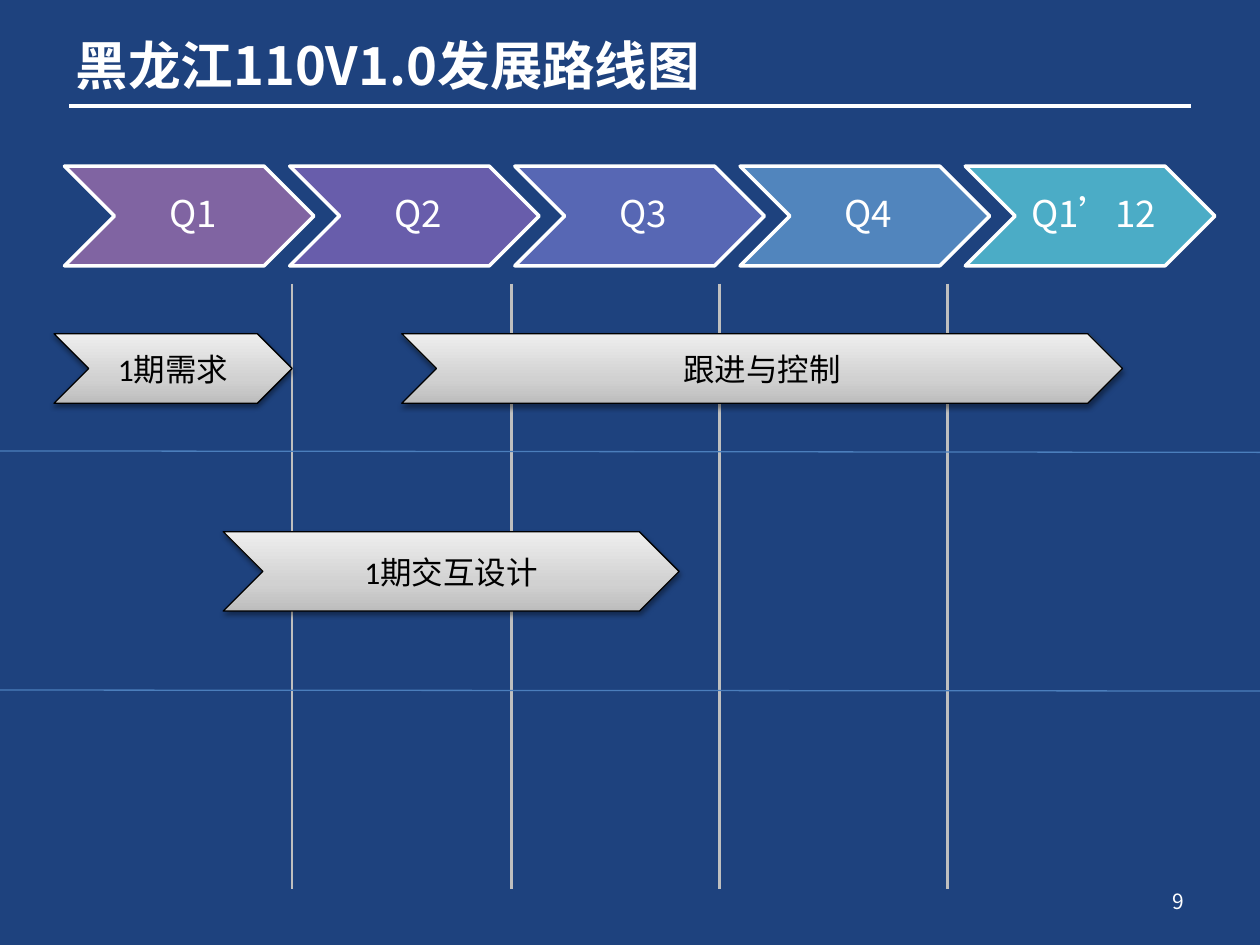
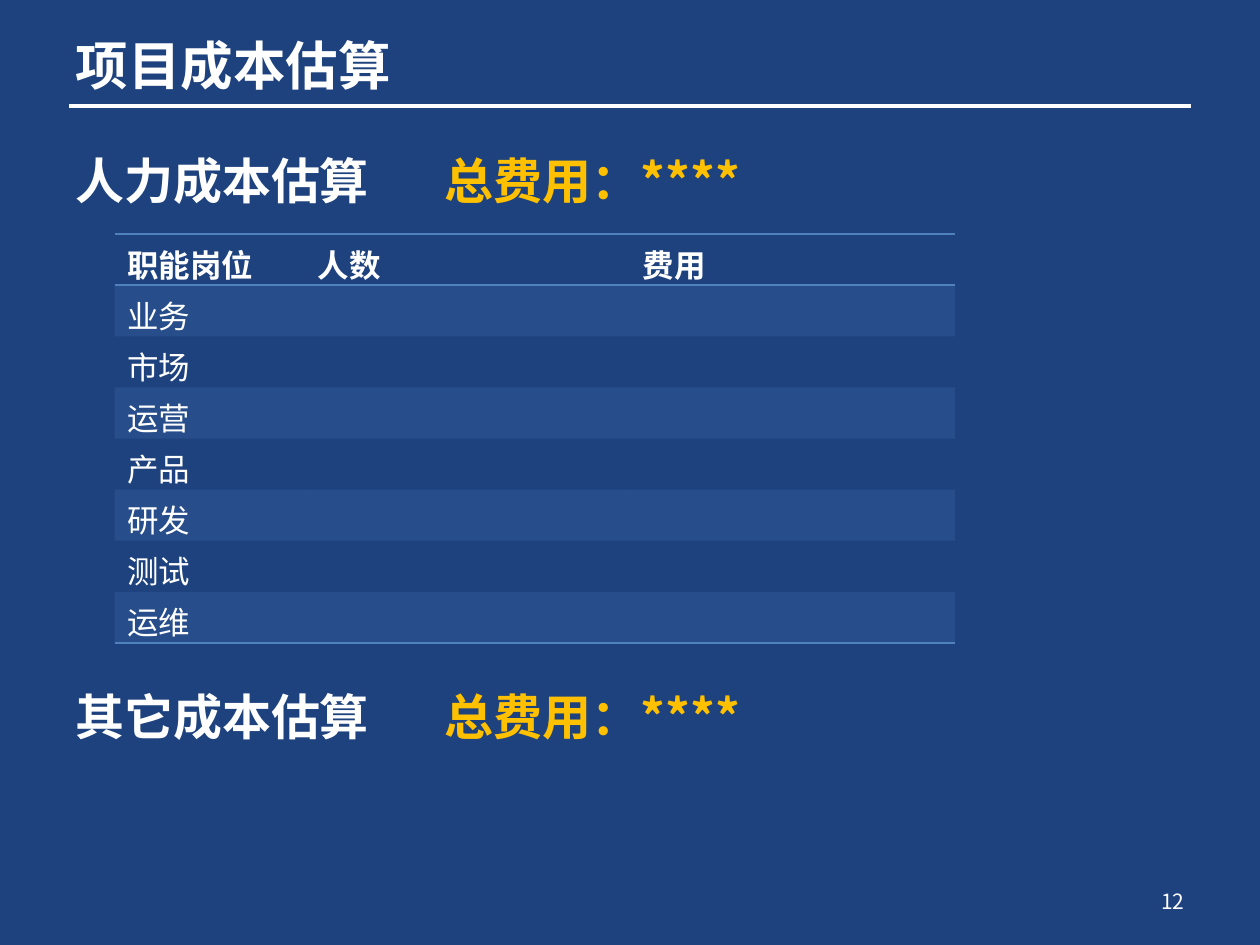
from copy import deepcopy

from lxml.etree import SubElement
from pptx import Presentation
from pptx.dml.color import RGBColor
from pptx.enum.shapes import MSO_CONNECTOR, MSO_SHAPE
from pptx.enum.text import MSO_ANCHOR, PP_ALIGN
from pptx.oxml import parse_xml
from pptx.oxml.ns import nsdecls, qn
from pptx.util import Cm, Pt

NAVY = RGBColor(0x1E, 0x42, 0x7E)
WHITE = RGBColor(0xFF, 0xFF, 0xFF)
BLACK = RGBColor(0x00, 0x00, 0x00)
GOLD = RGBColor(0xFF, 0xC0, 0x00)
GRID_GREY = RGBColor(0xBF, 0xBF, 0xBF)
LANE_BLUE = RGBColor(0x4B, 0x7E, 0xBC)
TABLE_BLUE = RGBColor(0x4F, 0x81, 0xBD)
TASK_GREYS = [(0, RGBColor(0xBD, 0xBD, 0xBD)),
              (0.35, RGBColor(0xD1, 0xD1, 0xD1)),
              (1, RGBColor(0xEE, 0xEE, 0xEE))]
HEADING_FONT = "Noto Sans CJK SC"
TASK_FONT = "Calibri"
NO_GRID_STYLE = "{2D5ABB26-0587-4C30-8999-92F81FD0307C}"


def format_runs(paragraph, size, color, font=HEADING_FONT, bold=False):
    for run in paragraph.runs:
        run.font.size = Pt(size)
        run.font.bold = bold
        run.font.name = font
        run.font.color.rgb = color
        SubElement(run.font._element, qn("a:ea"), typeface=HEADING_FONT)


def draw_line(slide, x1, y1, x2, y2, color, width):
    line = slide.shapes.add_connector(
        MSO_CONNECTOR.STRAIGHT, Cm(x1), Cm(y1), Cm(x2), Cm(y2))
    line.line.color.rgb = color
    line.line.width = Pt(width)
    SubElement(line._element.spPr, qn("a:effectLst"))


prs = Presentation()
prs.slide_width, prs.slide_height = Cm(25.4), Cm(19.05)
prs.slide_master.background.fill.solid()
prs.slide_master.background.fill.fore_color.rgb = NAVY

# Shared frame: title, rule and page number
slides = []
for heading, page in [("黑龙江110V1.0发展路线图", "9"), ("项目成本估算", "12")]:
    slide = prs.slides.add_slide(prs.slide_layouts[5])
    slides.append(slide)
    draw_line(slide, 1.4, 2.13, 24, 2.13, WHITE, 2.25)

    title = slide.shapes.title
    title.left, title.top = Cm(1.27), Cm(-0.28)
    title.width, title.height = Cm(22.86), Cm(3.18)
    title.text_frame.text = heading
    title.text_frame.vertical_anchor = MSO_ANCHOR.MIDDLE
    title.text_frame.paragraphs[0].alignment = PP_ALIGN.LEFT
    format_runs(title.text_frame.paragraphs[0], 30, WHITE, bold=True)

    number = slide.shapes.add_textbox(Cm(18.21), Cm(17.65), Cm(5.92), Cm(1.02)).text_frame
    number.word_wrap = True
    number.vertical_anchor = MSO_ANCHOR.MIDDLE
    number.text = page
    number.paragraphs[0].alignment = PP_ALIGN.RIGHT
    format_runs(number.paragraphs[0], 12, WHITE)

roadmap, costs = slides

# Roadmap: quarter dividers and lane separators
for x in (5.89, 10.31, 14.5, 19.1):
    draw_line(roadmap, x, 5.72, x, 17.93, GRID_GREY, 1.5)
for y_left, y_right in [(9.09, 9.12), (13.91, 13.93)]:
    draw_line(roadmap, 0, y_left, 25.4, y_right, LANE_BLUE, 0.75)

# Roadmap: quarters
quarters = [("Q1", "8064A2"), ("Q2", "685DAB"), ("Q3", "5767B4"),
            ("Q4", "5185BD"), ("Q1’12", "4BACC6")]
for i, (label, color) in enumerate(quarters):
    quarter = roadmap.shapes.add_shape(
        MSO_SHAPE.CHEVRON, Cm(1.3 + 4.54 * i), Cm(3.35), Cm(5.03), Cm(2.01))
    quarter.shadow.inherit = False
    quarter.fill.solid()
    quarter.fill.fore_color.rgb = RGBColor.from_string(color)
    quarter.line.color.rgb = WHITE
    quarter.line.width = Pt(2)
    frame = quarter.text_frame
    frame.margin_left = Cm(0.23)
    frame.margin_right = frame.margin_top = frame.margin_bottom = Cm(0.08)
    frame.text = label
    frame.paragraphs[0].alignment = PP_ALIGN.CENTER
    frame.paragraphs[0].line_spacing = 0.9
    format_runs(frame.paragraphs[0], 21, WHITE)

# Roadmap: tasks
tasks = [("1期需求", 1.09, 6.73, 4.8, 1.4),
         ("跟进与控制", 8.1, 6.73, 14.53, 1.4),
         ("1期交互设计", 4.5, 10.72, 9.19, 1.6)]
for label, left, top, width, height in tasks:
    task = roadmap.shapes.add_shape(
        MSO_SHAPE.CHEVRON, Cm(left), Cm(top), Cm(width), Cm(height))
    task.fill.gradient()
    task.fill.gradient_angle = 90
    stop_list = task._element.spPr.find(".//" + qn("a:gsLst"))
    stop_list.insert(1, deepcopy(stop_list[0]))
    for stop, (position, grey) in zip(task.fill.gradient_stops, TASK_GREYS):
        stop.position = position
        stop.color.rgb = grey
    task.line.color.rgb = BLACK
    task.line.width = Pt(0.75)
    task._element.spPr.append(parse_xml(
        f'<a:effectLst {nsdecls("a")}><a:outerShdw blurRad="{Pt(3.1)}" '
        f'dist="{Pt(1.6)}" dir="5400000" rotWithShape="0"><a:srgbClr val="000000">'
        '<a:alpha val="38000"/></a:srgbClr></a:outerShdw></a:effectLst>'))
    task.text_frame.text = label
    task.text_frame.paragraphs[0].alignment = PP_ALIGN.CENTER
    format_runs(task.text_frame.paragraphs[0], 18, BLACK, TASK_FONT)

# Costs: section headings, with the total at a tab stop
for section, top in [("人力成本估算", 2.9), ("其它成本估算", 13.72)]:
    frame = costs.shapes.add_textbox(Cm(1.27), Cm(top), Cm(17.09), Cm(1.45)).text_frame
    frame.word_wrap = True
    paragraph = frame.paragraphs[0]
    paragraph.add_run().text = section + "\t"
    paragraph.add_run().text = "总费用：****"
    format_runs(paragraph, 28, WHITE, bold=True)
    paragraph.runs[1].font.color.rgb = GOLD
    tabs = SubElement(paragraph._p.get_or_add_pPr(), qn("a:tabLst"))
    SubElement(tabs, qn("a:tab"), pos=str(Cm(7.45)), algn="l")

# Costs: staffing table
staffing = [("职能岗位", "人数", "费用")]
staffing += [(post, "", "") for post in
             ("业务", "市场", "运营", "产品", "研发", "测试", "运维")]
table_frame = costs.shapes.add_table(
    len(staffing), 3, Cm(2.31), Cm(4.72), Cm(16.94), Cm(8.24))
table_frame._element.find(".//" + qn("a:tableStyleId")).text = NO_GRID_STYLE
table = table_frame.table
for column, width in zip(table.columns, (3.84, 6.55, 6.55)):
    column.width = Cm(width)

last = len(staffing) - 1
for r, values in enumerate(staffing):
    table.rows[r].height = Cm(1.03)
    edges = {0: ("a:lnT", "a:lnB"), last: ("a:lnB",)}.get(r, ())
    for c, value in enumerate(values):
        cell = table.cell(r, c)
        cell.text_frame.text = value
        format_runs(cell.text_frame.paragraphs[0], 18, WHITE, TASK_FONT, bold=r == 0)
        properties = cell._tc.get_or_add_tcPr()
        for edge in edges:
            border = SubElement(properties, qn(edge), w=str(Pt(1)))
            SubElement(SubElement(border, qn("a:solidFill")),
                       qn("a:srgbClr"), val=str(TABLE_BLUE))
        if r % 2:
            cell.fill.solid()
            cell.fill.fore_color.rgb = TABLE_BLUE
            tint = properties.find(qn("a:solidFill"))[0]
            SubElement(tint, qn("a:alpha"), val="20000")
        else:
            cell.fill.background()

prs.save("out.pptx")
